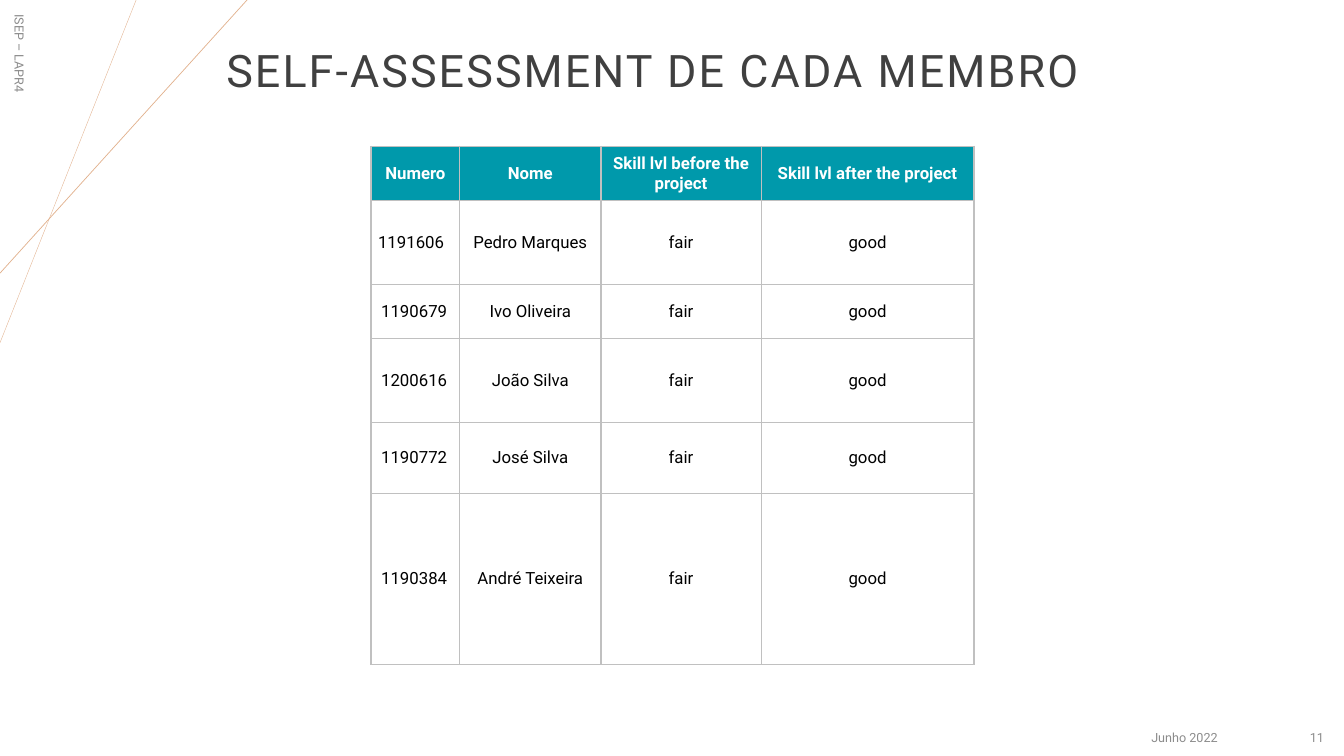
from lxml import etree
from pptx import Presentation
from pptx.dml.color import RGBColor
from pptx.enum.shapes import MSO_CONNECTOR
from pptx.enum.text import MSO_ANCHOR, PP_ALIGN
from pptx.oxml.ns import qn
from pptx.util import Inches, Pt

LEFT, CENTER, RIGHT = PP_ALIGN.LEFT, PP_ALIGN.CENTER, PP_ALIGN.RIGHT
MIDDLE = MSO_ANCHOR.MIDDLE
STRAIGHT = MSO_CONNECTOR.STRAIGHT

FONT = "Roboto"
COLORS = {
    "title": "404040",
    "muted": "8C8C8C",
    "accent": "E2B18D",
    "header": "0099AB",
    "border": "C0C0C0",
    "white": "FFFFFF",
    "black": "000000",
}

COLUMN_WIDTHS = [0.88, 1.4, 1.59, 2.11]
ROW_HEIGHTS = [0.54, 0.83, 0.54, 0.83, 0.71, 1.69]
HEADERS = ["Numero", "Nome", "Skill lvl before the project",
           "Skill lvl after the project"]
MEMBERS = [
    ("1191606", "Pedro Marques"),
    ("1190679", "Ivo Oliveira"),
    ("1200616", "João Silva"),
    ("1190772", "José Silva"),
    ("1190384", "André Teixeira"),
]
SKILL_BEFORE, SKILL_AFTER = "fair", "good"


def color(name):
    return RGBColor.from_string(COLORS[name])


def write(frame, text, size=12, fill="black", bold=False, align=LEFT,
          line_spacing=None, space=0, tracking=None):
    """Put one formatted paragraph into a text frame."""
    paragraph = frame.paragraphs[0]
    paragraph.alignment = align
    paragraph.space_before = paragraph.space_after = Pt(space)
    if line_spacing:
        paragraph.line_spacing = line_spacing
    run = paragraph.add_run()
    run.text = text
    run.font.name = FONT
    run.font.size = Pt(size)
    run.font.bold = bold
    run.font.color.rgb = color(fill)
    if tracking:
        run.font._element.set("spc", str(int(tracking * 100)))


def add_accent_lines(slide, left, top):
    # Each line runs from the top edge to the left edge
    for across, down, weight in [(1.35, 3.4, 0.25), (2.45, 2.71, 0.5)]:
        accent = slide.shapes.add_connector(
            STRAIGHT, Inches(left + across), Inches(top),
            Inches(left), Inches(top + down))
        accent.line.color.rgb = color("accent")
        accent.line.width = Pt(weight)
        etree.SubElement(accent._element.spPr, qn("a:effectLst"))


def add_title(slide, left, top, width, height):
    title = slide.shapes.title
    title.left, title.top = Inches(left), Inches(top)
    title.width, title.height = Inches(width), Inches(height)
    title.text_frame.vertical_anchor = MIDDLE
    title.text_frame.word_wrap = True
    write(title.text_frame, "SELF-ASSESSMENT DE CADA MEMBRO", size=32,
          fill="title", align=CENTER, line_spacing=0.9, tracking=1.5)


def add_label(slide, text, left, top, width, height, align=LEFT, rotation=0):
    label = slide.shapes.add_textbox(
        Inches(left), Inches(top), Inches(width), Inches(height))
    label.rotation = rotation
    label.text_frame.word_wrap = True
    label.text_frame.vertical_anchor = MIDDLE
    write(label.text_frame, text, size=9, fill="muted", align=align)


def add_borders(cell):
    properties = cell._tc.get_or_add_tcPr()
    for position, side in enumerate(["lnL", "lnR", "lnT", "lnB"]):
        border = etree.Element(qn(f"a:{side}"), w=str(Pt(1)))
        solid = etree.SubElement(border, qn("a:solidFill"))
        etree.SubElement(solid, qn("a:srgbClr"), val=COLORS["border"])
        properties.insert(position, border)


def add_skills_table(slide, left, top):
    rows = [HEADERS] + [
        (number, name, SKILL_BEFORE, SKILL_AFTER) for number, name in MEMBERS]
    skills = slide.shapes.add_table(
        len(rows), len(HEADERS), Inches(left), Inches(top),
        Inches(sum(COLUMN_WIDTHS)), Inches(sum(ROW_HEIGHTS))).table
    skills.horz_banding = False
    for column, width in zip(skills.columns, COLUMN_WIDTHS):
        column.width = Inches(width)
    for row, height in zip(skills.rows, ROW_HEIGHTS):
        row.height = Inches(height)

    for r, values in enumerate(rows):
        is_header = r == 0
        for c, value in enumerate(values):
            cell = skills.cell(r, c)
            cell.vertical_anchor = MIDDLE
            # The first member's row has narrower side margins
            side_margin = 0.07 if r == 1 else 0.1
            cell.margin_left = cell.margin_right = Inches(side_margin)
            cell.fill.solid()
            cell.fill.fore_color.rgb = color("header" if is_header else "white")
            add_borders(cell)
            write(cell.text_frame, value, bold=is_header,
                  fill="white" if is_header else "black",
                  align=LEFT if c == 0 and not is_header else CENTER,
                  space=0 if is_header else 3)


def main():
    deck = Presentation()
    deck.slide_width, deck.slide_height = Inches(13.33), Inches(7.5)
    slide = deck.slides.add_slide(deck.slide_layouts[5])
    slide.background.fill.solid()
    slide.background.fill.fore_color.rgb = color("white")

    add_accent_lines(slide, 0, 0)
    add_title(slide, 1.87, 0, 9.21, 1.45)
    # Side label and footer
    add_label(slide, "ISEP – LAPR4", -0.53, 0.33, 1.45, 0.4,
              align=CENTER, rotation=90)
    add_label(slide, "Junho 2022", 11.32, 7.12, 1.08, 0.4)
    add_label(slide, "11", 12.15, 7.12, 1.08, 0.4, align=RIGHT)
    add_skills_table(slide, 3.68, 1.45)

    deck.save("out.pptx")


if __name__ == "__main__":
    main()
